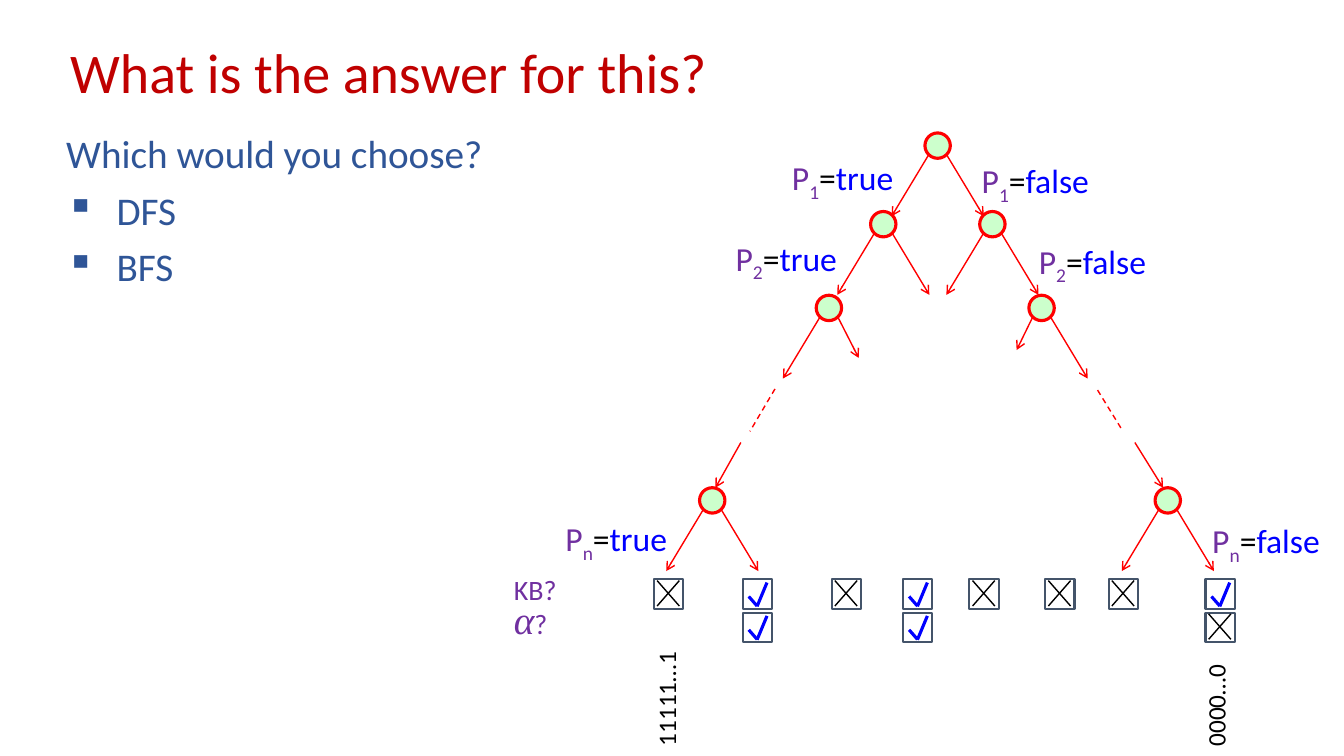
from lxml import etree
from pptx import Presentation
from pptx.dml.color import RGBColor
from pptx.enum.dml import MSO_LINE
from pptx.enum.shapes import MSO_CONNECTOR, MSO_SHAPE
from pptx.enum.text import MSO_ANCHOR, MSO_AUTO_SIZE
from pptx.oxml.ns import qn
from pptx.util import Cm, Pt

STRAIGHT = MSO_CONNECTOR.STRAIGHT
OVAL, RECTANGLE = MSO_SHAPE.OVAL, MSO_SHAPE.RECTANGLE
DASH = MSO_LINE.DASH
MIDDLE = MSO_ANCHOR.MIDDLE
GROW = MSO_AUTO_SIZE.SHAPE_TO_FIT_TEXT

DARK_RED = RGBColor(0xC0, 0x00, 0x00)
NAVY = RGBColor(0x2F, 0x55, 0x97)
RED = RGBColor(0xFF, 0x00, 0x00)
PALE_GREEN = RGBColor(0xCC, 0xFF, 0xCC)
PURPLE = RGBColor(0x70, 0x30, 0xA0)
BLUE = RGBColor(0x00, 0x00, 0xFF)
SLATE = RGBColor(0x44, 0x54, 0x6A)
BLACK = RGBColor(0x00, 0x00, 0x00)

prs = Presentation()
prs.slide_width, prs.slide_height = Cm(33.87), Cm(19.05)
s = prs.slides.add_slide(prs.slide_layouts[6])


def add_line(x1, y1, x2, y2, color, width=1, arrow=False):
    line = s.shapes.add_connector(STRAIGHT, Cm(x1), Cm(y1), Cm(x2), Cm(y2))
    line.line.color.rgb = color
    line.line.width = Pt(width)
    if arrow:
        etree.SubElement(line.line._get_or_add_ln(), qn("a:tailEnd"), type="arrow")
    etree.SubElement(line._element.spPr, qn("a:effectLst"))
    return line


def add_text(x, y, w, h, paragraphs, wrap=False):
    """Each paragraph is a list of runs: (text, size, color)."""
    sp = s.shapes.add_textbox(Cm(x), Cm(y), Cm(w), Cm(h))
    tf = sp.text_frame
    tf.word_wrap = wrap
    if not wrap:
        tf.auto_size = GROW
    for i, runs in enumerate(paragraphs):
        p = tf.paragraphs[0] if i == 0 else tf.add_paragraph()
        for text, size, color in runs:
            r = p.add_run()
            r.text = text
            r.font.name = "Calibri"
            r.font.size = Pt(size)
            r.font.color.rgb = color
    return sp


# Title
sp = add_text(1.52, 1.02, 29.21, 1.75,
              [[("What is the answer for this?", 40, DARK_RED)]], wrap=True)
sp.text_frame.vertical_anchor = MIDDLE
sp.text_frame.paragraphs[0].line_spacing = 0.9

# Question and choices
choices = ["Which would you choose?", "DFS", "BFS"]
sp = add_text(1.42, 3.28, 17.15, 6.07, [[(c, 28, NAVY)] for c in choices], wrap=True)
for i, p in enumerate(sp.text_frame.paragraphs):
    p.line_spacing = 0.9
    p.space_before = Pt(10)
    if i > 0:
        pPr = p._p.get_or_add_pPr()
        pPr.set("marL", str(Cm(1.27)))
        pPr.set("indent", str(-Cm(1.27)))
        etree.SubElement(pPr, qn("a:buChar"), char="▪")

# Tree nodes: centre, then the step down to the left and to the right
NODE = 0.64
OFFSET = 0.22
STEP = (0.94, 1.56)
nodes = [
    (23.63, 3.67, STEP, STEP),
    (22.26, 5.65, STEP, STEP),
    (25.01, 5.65, STEP, STEP),
    (20.89, 7.76, STEP, (0.53, 1.04)),
    (26.25, 7.76, (0.41, 0.84), STEP),
    (17.95, 12.61, STEP, STEP),
    (29.43, 12.61, STEP, STEP),
]
for x, y, left, right in nodes:
    sp = s.shapes.add_shape(OVAL, Cm(x - NODE / 2), Cm(y - NODE / 2), Cm(NODE), Cm(NODE))
    sp.shadow.inherit = False
    sp.fill.solid()
    sp.fill.fore_color.rgb = PALE_GREEN
    sp.line.color.rgb = RED
    sp.line.width = Pt(2.25)
    for side, (dx, dy) in ((-1, left), (1, right)):
        x1, y1 = x + side * OFFSET, y + OFFSET
        add_line(x1, y1, x1 + side * dx, y1 + dy, RED, arrow=True)

# Omitted levels
for ends in ((19.53, 9.8, 18.9, 10.87), (27.66, 9.83, 28.3, 10.87)):
    add_line(*ends, RED).line.dash_style = DASH
for ends in ((18.67, 11.15, 18.03, 12.29), (28.6, 11.15, 29.31, 12.29)):
    add_line(*ends, RED, arrow=True)

# Branch labels
labels = [
    (19.71, 3.84, "1", "true"), (24.49, 3.91, "1", "false"),
    (18.29, 5.87, "2", "true"), (25.93, 5.94, "2", "false"),
    (14.0, 12.93, "n", "true"), (30.3, 12.98, "n", "false"),
]
for x, y, index, value in labels:
    width = 3.13 if value == "true" else 3.28
    sp = add_text(x, y, width, 1.27, [[("P", 24, PURPLE), (index, 24, PURPLE),
                                       ("=", 24, BLACK), (value, 24, BLUE)]])
    subscript = sp.text_frame.paragraphs[0].runs[1]
    subscript.font._element.set("baseline", "-25000")

# Model bit strings
for x, y, w, bits in ((15.24, 16.99, 3.1, "11111…1"), (29.16, 17.07, 2.95, "0000…0")):
    add_text(x, y, w, 1.02, [[(bits, 18, BLACK)]]).rotation = 270

# Check boxes: the KB row, then the alpha row
BOX = 0.74
KB_Y, ALPHA_Y = 14.6, 15.44
boxes = [
    (16.48, KB_Y, False), (18.72, KB_Y, True), (20.96, KB_Y, False),
    (22.76, KB_Y, True), (24.43, KB_Y, False), (26.34, KB_Y, False),
    (27.94, KB_Y, False), (30.38, KB_Y, True),
    (18.72, ALPHA_Y, True), (22.76, ALPHA_Y, True), (30.38, ALPHA_Y, False),
]
TICK = [(0.15, 0.43, 0.36, 0.67), (0.36, 0.68, 0.61, 0.08)]
CROSS = [(0.08, 0.03, 0.64, 0.67), (0.64, 0.03, 0.08, 0.67)]
for x, y, holds in boxes:
    sp = s.shapes.add_shape(RECTANGLE, Cm(x), Cm(y), Cm(BOX), Cm(BOX))
    sp.shadow.inherit = False
    sp.fill.background()
    sp.line.color.rgb = SLATE
    sp.line.width = Pt(1.5)
    strokes, color, width = (TICK, BLUE, 2.25) if holds else (CROSS, BLACK, 1)
    for x1, y1, x2, y2 in strokes:
        add_line(x + x1, y + y1, x + x2, y + y2, color, width)

# Row labels
add_text(12.7, 14.3, 1.6, 1.12, [[("KB?", 20, PURPLE)]])
sp = add_text(12.7, 14.88, 1.37, 1.45, [[("α", 28, PURPLE), ("?", 20, PURPLE)]])
alpha = sp.text_frame.paragraphs[0].runs[0]
alpha.font.name = "Times New Roman"
alpha.font.italic = True

prs.save("out.pptx")
